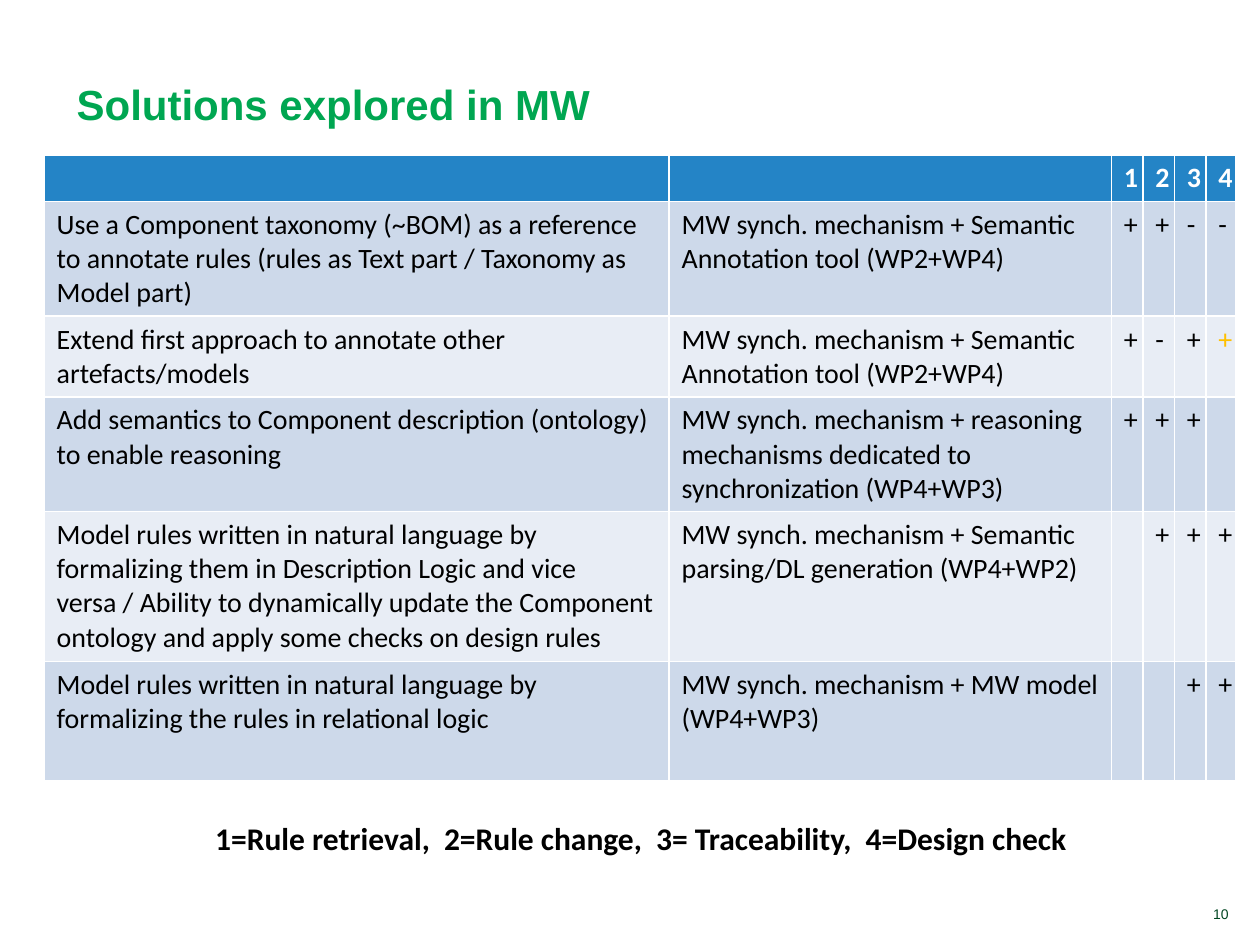
from pptx import Presentation
from pptx import util as u
from pptx.dml import color
from pptx.enum import text

COLORS = {
    "title": "00A651", "number": "004621", "header": "2484C6",
    "odd": "CDD9EA", "even": "E8EDF5", "black": "000000",
    "white": "FFFFFF", "amber": "FFC000",
}


def write(frame, content, size=16, font="Calibri", ink="black", bold=False,
          align=text.PP_ALIGN.LEFT, anchor=text.MSO_ANCHOR.TOP):
    frame.vertical_anchor = anchor
    paragraph = frame.paragraphs[0]
    paragraph.alignment = align
    paragraph.font.size = u.Pt(size)
    if not content:
        return
    run = paragraph.add_run()
    run.text = content
    run.font.size = u.Pt(size)
    run.font.name = font
    run.font.bold = bold
    run.font.color.rgb = color.RGBColor.from_string(COLORS[ink])


presentation = Presentation()
presentation.slide_width = u.Inches(10)
presentation.slide_height = u.Inches(7.5)
slide = presentation.slides.add_slide(presentation.slide_layouts[6])

# Title, legend and page number
LABELS = [
    ((0.51, 0.16, 6.81, 0.91), True, "Solutions explored in MW",
     dict(size=24, font="Arial", ink="title", bold=True,
          anchor=text.MSO_ANCHOR.BOTTOM)),
    ((1.61, 6.45, 6.99, 0.4), False,
     "1=Rule retrieval,  2=Rule change,  3= Traceability,  4=Design check",
     dict(size=18, bold=True)),
    ((8.54, 7.14, 1.31, 0.23), True, "10",
     dict(size=8, font="Arial", ink="number", align=text.PP_ALIGN.RIGHT,
          anchor=text.MSO_ANCHOR.BOTTOM)),
]
for place, wrap, content, style in LABELS:
    shape = slide.shapes.add_textbox(*(u.Inches(length) for length in place))
    shape.text_frame.word_wrap = wrap
    write(shape.text_frame, content, **style)

# Table: solution, mechanism and marks for the four criteria
ROWS = [
    ("", "", "1234"),
    ("Use a Component taxonomy (~BOM) as a reference to annotate rules "
     "(rules as Text part / Taxonomy as Model part)",
     "MW synch. mechanism + Semantic Annotation tool (WP2+WP4)", "++--"),
    ("Extend first approach to annotate other artefacts/models",
     "MW synch. mechanism + Semantic Annotation tool (WP2+WP4)", "+-++"),
    ("Add semantics to Component description (ontology) to enable reasoning",
     "MW synch. mechanism + reasoning mechanisms dedicated to "
     "synchronization (WP4+WP3)", ["+", "+", "+", ""]),
    ("Model rules written in natural language by formalizing them in "
     "Description Logic and vice versa / Ability to dynamically update the "
     "Component ontology and apply some checks on design rules",
     "MW synch. mechanism + Semantic parsing/DL generation (WP4+WP2)",
     ["", "+", "+", "+"]),
    ("Model rules written in natural language by formalizing the rules in "
     "relational logic",
     "MW synch. mechanism + MW model (WP4+WP3)", ["", "", "+", "+"]),
]
WIDTHS = [4.96, 3.51, 0.25, 0.25, 0.25, 0.24]
HEIGHTS = [0.37, 0.91, 0.64, 0.91, 1.19, 0.95]
AMBER_CELL = (2, 5)

table = slide.shapes.add_table(
    len(ROWS), len(WIDTHS), u.Inches(0.35), u.Inches(1.23),
    u.Inches(sum(WIDTHS)), u.Inches(sum(HEIGHTS))).table
for column, width in zip(table.columns, WIDTHS):
    column.width = u.Inches(width)
for row, height in zip(table.rows, HEIGHTS):
    row.height = u.Inches(height)

for r, (solution, mechanism, marks) in enumerate(ROWS):
    header = r == 0
    fill = "header" if header else ("odd" if r % 2 else "even")
    for c, content in enumerate([solution, mechanism, *marks]):
        cell = table.cell(r, c)
        cell.fill.solid()
        cell.fill.fore_color.rgb = color.RGBColor.from_string(COLORS[fill])
        ink = "white" if header else "black"
        if (r, c) == AMBER_CELL:
            ink = "amber"
        write(cell.text_frame, content, ink=ink, bold=header,
              align=text.PP_ALIGN.CENTER if c > 1 else text.PP_ALIGN.LEFT)

presentation.save("out.pptx")
